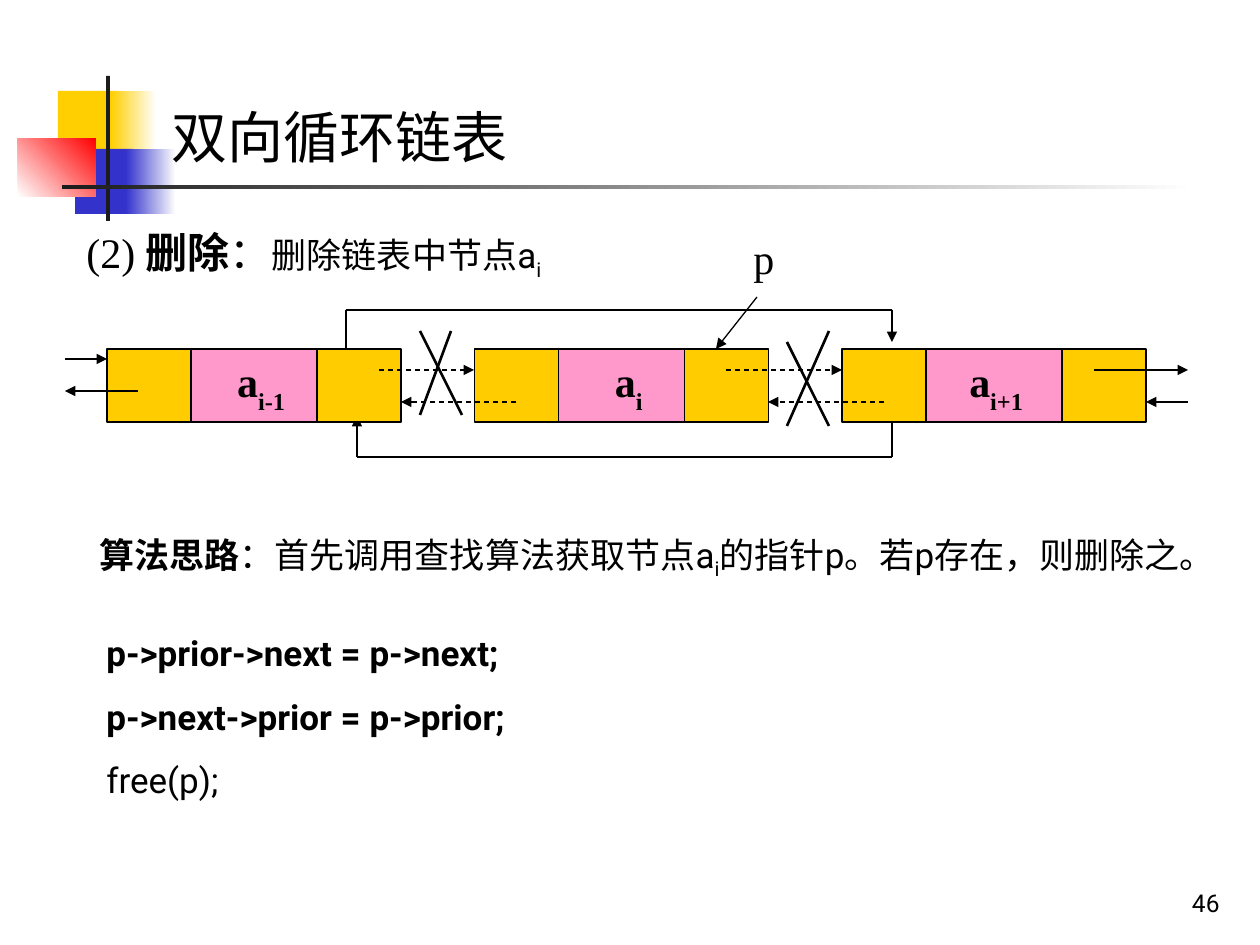
from lxml.etree import SubElement
from pptx import Presentation
from pptx.dml.color import RGBColor
from pptx.enum.dml import MSO_LINE
from pptx.enum.shapes import MSO_CONNECTOR, MSO_SHAPE
from pptx.enum.text import MSO_ANCHOR, PP_ALIGN
from pptx.oxml.ns import qn
from pptx.util import Pt

PX = 914400 / 126
BLACK = RGBColor(0, 0, 0)
WHITE = RGBColor(255, 255, 255)
DARK = RGBColor(0x1C, 0x1C, 0x1C)
GOLD = RGBColor(0xFF, 0xCF, 0x01)
BLUE = RGBColor(0x33, 0x33, 0xCC)
RED = RGBColor(255, 0, 0)
AMBER = RGBColor(0xFF, 0xCC, 0)
PINK = RGBColor(0xFF, 0x99, 0xCC)
SERIF, SANS, CJK = "Times New Roman", "Roboto", "Noto Sans CJK JP"


def emu(*px):
    return [round(n * PX) for n in px]


def write(para, runs):
    """Add (text, size, font, bold, baseline) runs to a paragraph."""
    for text, size, face, bold, base in runs:
        run = para.add_run()
        run.text = text
        font = run.font
        font.size, font.name, font.bold = Pt(size), face, bold
        font.color.rgb = BLACK
        props = run._r.get_or_add_rPr()
        SubElement(props, qn("a:ea")).set("typeface", CJK)
        if base:
            props.set("baseline", str(base * 1000))


prs = Presentation()
prs.slide_width, prs.slide_height = emu(1260, 945)
slide = prs.slides.add_slide(prs.slide_layouts[6])
shapes = slide.shapes

# Corner ornament and title rule: box, first colour, second colour, angle
decor = [
    ((58, 91, 60, 65), GOLD, None, 0),
    ((111, 91, 45, 65), GOLD, WHITE, 0),
    ((75, 149, 58, 65), BLUE, None, 0),
    ((126, 149, 50, 65), BLUE, WHITE, 0),
    ((18, 138, 78, 59), WHITE, RED, 45),
    ((106, 76, 4, 145), DARK, None, 0),
    ((62, 185, 1134, 4), DARK, WHITE, 0),
]
for box, first, last, angle in decor:
    block = shapes.add_shape(MSO_SHAPE.RECTANGLE, *emu(*box))
    block.shadow.inherit = False
    block.line.fill.background()
    if last is None:
        block.fill.solid()
        block.fill.fore_color.rgb = first
    else:
        block.fill.gradient()
        block.fill.gradient_angle = angle
        for stop, tint in zip(block.fill.gradient_stops, (first, last)):
            stop.color.rgb = tint

# Text boxes: box, anchor, alignment, space before, line spacing, paragraphs
TOP, LOW = MSO_ANCHOR.TOP, MSO_ANCHOR.BOTTOM
LEFT, RIGHT = PP_ALIGN.LEFT, PP_ALIGN.RIGHT
texts = [
    ((74, 220, 932, 68), TOP, LEFT, 12.5, 1, [[
        ("(2) ", 24, SERIF, False, 0),
        ("删除", 24, SANS, True, 0),
        ("：", 24, SANS, False, 0),
        ("删除链表中节点a", 20, SANS, False, 0),
        ("i", 20, SANS, False, -25)]]),
    ((159, 96, 1101, 81), TOP, LEFT, 20, 1,
     [[("双向循环链表", 32, CJK, False, 0)]]),
    ((87, 527, 1123, 103), TOP, LEFT, 0, 1, [[
        ("算法思路", 20, SANS, True, 0),
        ("：首先调用查找算法获取节点a", 20, SANS, False, 0),
        ("i", 20, SANS, False, -25),
        ("的指针p。若p存在，则删除之。", 20, SANS, False, 0)]]),
    ((94, 615, 1071, 193), TOP, LEFT, 6.2, 1.25, [
        [("p->prior->next = p->next;", 20, SANS, True, 0)],
        [("p->next->prior = p->prior;", 20, SANS, True, 0)],
        [("free(p);", 20, SANS, False, 0)]]),
    ((741, 226, 64, 63), LOW, LEFT, 15, 1, [[("p", 24, SERIF, False, 0)]]),
    ((970, 861, 262, 63), LOW, RIGHT, 0, 1, [[("46", 14, SANS, False, 0)]]),
]
for box, anchor, align, before, space, paras in texts:
    frame = shapes.add_textbox(*emu(*box)).text_frame
    frame.word_wrap = True
    frame.vertical_anchor = anchor
    for i, runs in enumerate(paras):
        para = frame.add_paragraph() if i else frame.paragraphs[0]
        para.alignment = align
        para.space_before = Pt(before)
        para.line_spacing = space
        write(para, runs)

# Lines: start and end, width, dashed, arrow
bypass = [
    ((346, 373, 346, 310), 1.5, False, False),
    ((346, 310, 892, 310), 1.5, False, False),
    ((892, 394, 892, 457), 1.5, False, False),
    ((892, 457, 357, 457), 1.5, False, False),
    ((357, 457, 357, 416), 1.5, False, True),
    ((892, 310, 892, 342), 1.5, False, True),
]
crosses = [
    ((451, 331, 420, 415), 1.5, False, False),
    ((420, 331, 462, 415), 1.5, False, False),
    ((829, 331, 787, 426), 1.5, False, False),
    ((787, 342, 829, 426), 1.5, False, False),
]
links = [
    ((65, 359, 107, 359), 0.75, False, True),
    ((138, 391, 65, 391), 0.75, False, True),
    ((726, 370, 842, 370), 0.75, True, True),
    ((884, 402, 768, 402), 0.75, True, True),
    ((1094, 370, 1188, 370), 0.75, False, True),
    ((1188, 402, 1146, 402), 0.75, False, True),
    ((516, 402, 401, 402), 0.75, True, True),
    ((379, 370, 474, 370), 0.75, True, True),
    ((757, 297, 716, 349), 0.75, False, True),
]
# The nodes lie over the bypass and under the links
for layer in (bypass + crosses, None, links):
    if layer is None:
        for i, sub in enumerate(("i-1", "i", "i+1")):
            left = 107 + i * 367.5
            last = left + (220 if i == 2 else 210)
            cells = [(left + 84, 136, PINK), (left, 84, AMBER), (last, 84, AMBER)]
            for x, wide, tint in cells:
                cell = shapes.add_shape(MSO_SHAPE.RECTANGLE, *emu(x, 349, wide, 73))
                cell.shadow.inherit = False
                cell.fill.solid()
                cell.fill.fore_color.rgb = tint
                cell.line.color.rgb = BLACK
                cell.line.width = Pt(0.75)
                if tint == PINK:
                    para = cell.text_frame.paragraphs[0]
                    para.alignment = PP_ALIGN.CENTER
                    write(para, [(" ", 10, SERIF, True, 0),
                                 ("a", 24, SERIF, True, 0),
                                 (sub, 24, SERIF, True, -30)])
        continue
    for ends, width, dashed, arrow in layer:
        line = shapes.add_connector(MSO_CONNECTOR.STRAIGHT, *emu(*ends))
        line.line.color.rgb = BLACK
        line.line.width = Pt(width)
        if dashed:
            line.line.dash_style = MSO_LINE.DASH
        if arrow:
            SubElement(line.line._get_or_add_ln(), qn("a:tailEnd")).set("type", "triangle")
        SubElement(line._element.spPr, qn("a:effectLst"))

prs.save("out.pptx")
